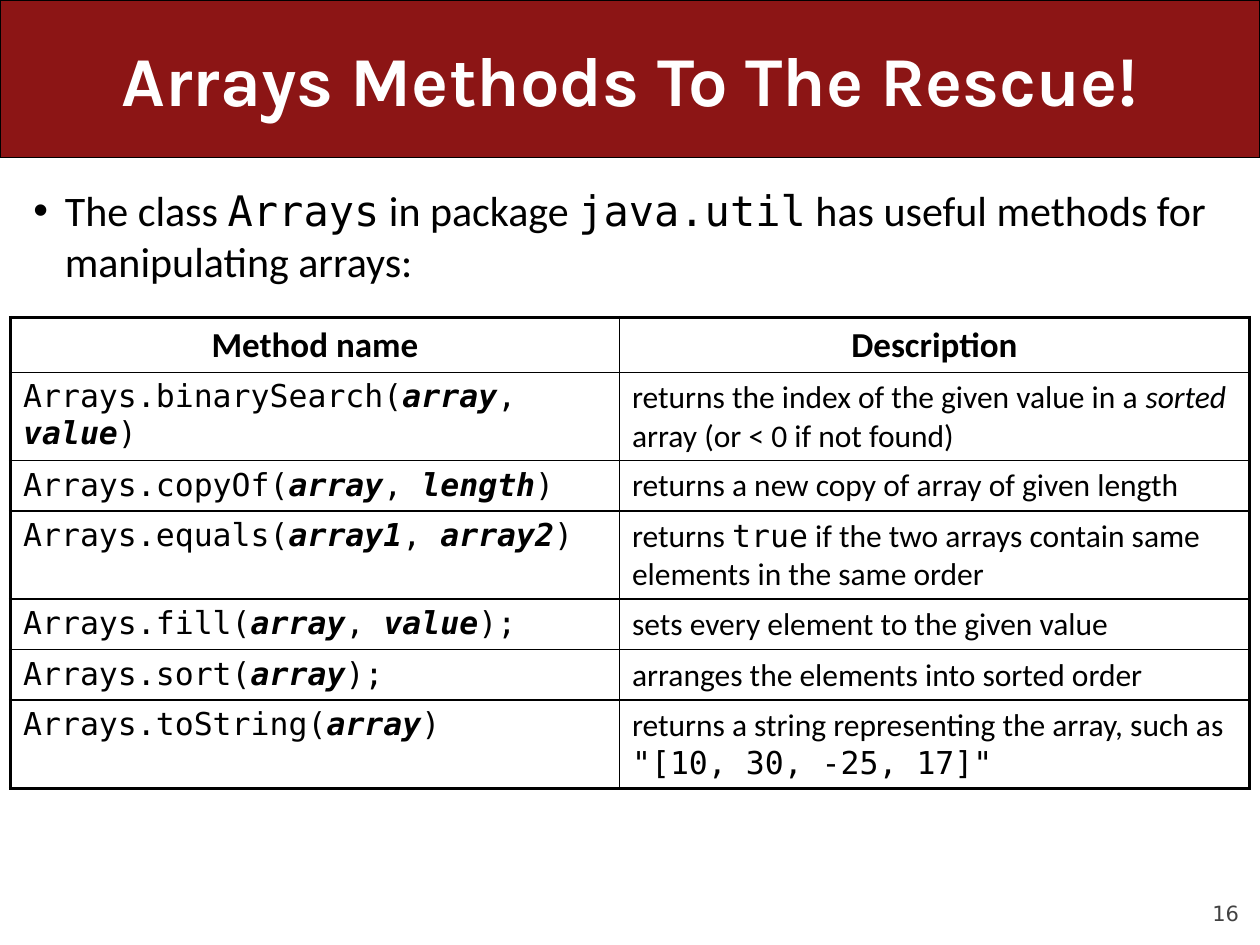
from lxml import etree
from pptx import Presentation
from pptx.dml.color import RGBColor
from pptx.enum.shapes import MSO_SHAPE
from pptx.enum.text import MSO_ANCHOR, PP_ALIGN
from pptx.oxml.ns import qn
from pptx.util import Pt

LEFT, CENTER, RIGHT = PP_ALIGN.LEFT, PP_ALIGN.CENTER, PP_ALIGN.RIGHT
TOP, MIDDLE, BOTTOM = MSO_ANCHOR.TOP, MSO_ANCHOR.MIDDLE, MSO_ANCHOR.BOTTOM
ROUNDED_RECTANGLE = MSO_SHAPE.ROUNDED_RECTANGLE
BODY, CODE = "Calibri", "DejaVu Sans Mono"
BLACK, WHITE, CARDINAL, GRAY = "000000", "FFFFFF", "8C1515", "424242"


def rgb(value):
    return RGBColor.from_string(value)


def write(frame, text, size=18, font=BODY, color=BLACK, bold=False,
          align=LEFT, anchor=TOP, bullet=None):
    """Fill a text frame; text is a string or a list of (text, format) runs."""
    frame.word_wrap = True
    frame.vertical_anchor = anchor
    paragraph = frame.paragraphs[0]
    paragraph.alignment = align
    if bullet:
        properties = paragraph._p.get_or_add_pPr()
        properties.set("marL", str(Pt(18)))
        properties.set("indent", str(-Pt(18)))
        etree.SubElement(properties, qn("a:buFont"), typeface="Arial")
        etree.SubElement(properties, qn("a:buChar"), char=bullet)
    for words, style in [(text, {})] if isinstance(text, str) else text:
        run = paragraph.add_run()
        run.text = words
        run.font.size = Pt(size)
        run.font.name = style.get("font", font)
        run.font.bold = style.get("bold", bold)
        run.font.italic = style.get("italic", False)
        run.font.color.rgb = rgb(color)


presentation = Presentation()
presentation.slide_width, presentation.slide_height = Pt(720), Pt(540)
slide = presentation.slides.add_slide(presentation.slide_layouts[6])

# Slide number
number = slide.shapes.add_textbox(Pt(648), Pt(500.4), Pt(60), Pt(28.8)).text_frame
number.margin_left = number.margin_right = number.margin_top = number.margin_bottom = 0
write(number, "16", size=12, font="DejaVu Sans", color=GRAY, align=RIGHT, anchor=BOTTOM)

# Title banner
banner = slide.shapes.add_shape(ROUNDED_RECTANGLE, 0, 0, Pt(720), Pt(90))
banner.adjustments[0] = 0
banner.shadow.inherit = False
banner.fill.solid()
banner.fill.fore_color.rgb = rgb(CARDINAL)
banner.line.color.rgb = rgb(BLACK)
banner.line.width = Pt(0.75)

title = slide.shapes.add_textbox(Pt(36), 0, Pt(648), Pt(90))
write(title.text_frame, "Arrays Methods To The Rescue!", size=40, font="Karla",
      color=WHITE, bold=True, align=CENTER, anchor=MIDDLE)

# Introduction
code, plain = {"font": CODE}, {}
introduction = slide.shapes.add_textbox(Pt(12), Pt(102), Pt(696), Pt(408))
write(introduction.text_frame, [
    ("The class ", plain), ("Arrays", code), (" in package ", plain), ("java.util", code),
    (" has useful methods for manipulating arrays:", plain)], size=24, bullet="•")

# Methods: name, parameters, ending, description
methods = [
    ("binarySearch", ["array", "value"], ")",
     [("returns the index of the given value in a ", plain), ("sorted", {"italic": True}),
      (" array (or < 0 if not found)", plain)]),
    ("copyOf", ["array", "length"], ")", "returns a new copy of array of given length"),
    ("equals", ["array1", "array2"], ")",
     [("returns ", plain), ("true", code),
      (" if the two arrays contain same elements in the same order", plain)]),
    ("fill", ["array", "value"], ");", "sets every element to the given value"),
    ("sort", ["array"], ");", "arranges the elements into sorted order"),
    ("toString", ["array"], ")",
     [("returns a string representing the array, such as ", plain),
      ('"[10, 30, -25, 17]"', code)]),
]

# Table
column_widths = [348, 360]
row_heights = [31, 50.4, 28.8, 50.4, 28.8, 28.8, 50.4]
table = slide.shapes.add_table(
    len(row_heights), len(column_widths), Pt(6), Pt(181.5),
    Pt(sum(column_widths)), Pt(sum(row_heights))).table
for column, width in zip(table.columns, column_widths):
    column.width = Pt(width)
for row, height in zip(table.rows, row_heights):
    row.height = Pt(height)

for index, heading in enumerate(["Method name", "Description"]):
    write(table.cell(0, index).text_frame, heading, size=20, bold=True, align=CENTER)
for index, (name, parameters, ending, description) in enumerate(methods, start=1):
    signature = [(f"Arrays.{name}(", plain)]
    for position, parameter in enumerate(parameters):
        if position:
            signature.append((", ", plain))
        signature.append((parameter, {"bold": True, "italic": True}))
    signature.append((ending, plain))
    write(table.cell(index, 0).text_frame, signature, font=CODE)
    write(table.cell(index, 1).text_frame, description)

# Cell borders: heavy around the table, thin inside
last_row, last_column = len(row_heights) - 1, len(column_widths) - 1
for row in range(last_row + 1):
    for column in range(last_column + 1):
        cell = table.cell(row, column)
        properties = cell._tc.get_or_add_tcPr()
        outer_edges = {"a:lnL": column == 0, "a:lnR": column == last_column,
                       "a:lnT": row == 0, "a:lnB": row == last_row}
        for edge, outer in outer_edges.items():
            line = etree.SubElement(properties, qn(edge), w=str(Pt(2.25 if outer else 1)))
            fill = etree.SubElement(line, qn("a:solidFill"))
            etree.SubElement(fill, qn("a:srgbClr"), val=BLACK)
        cell.fill.solid()
        cell.fill.fore_color.rgb = rgb(WHITE)

presentation.save("out.pptx")
